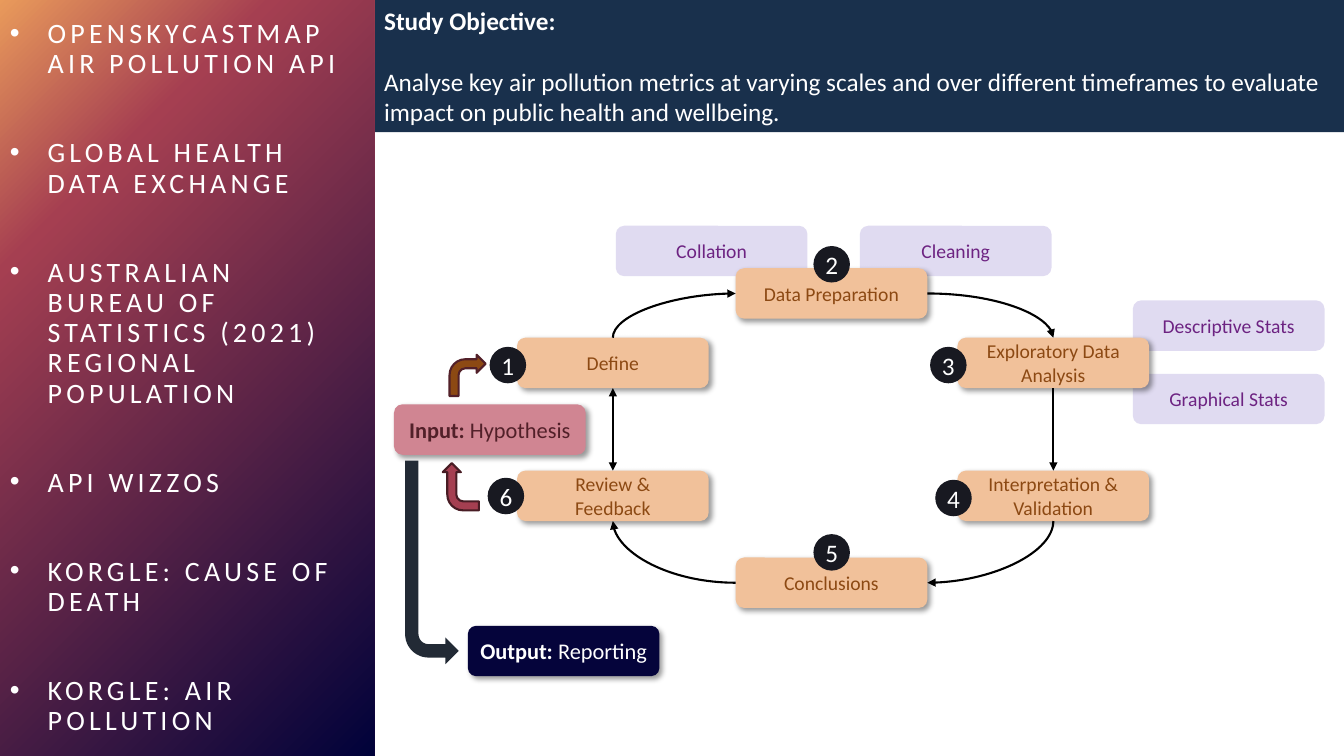
import pptx
import pptx.util
import pptx.dml.color
import pptx.enum.shapes
import pptx.enum.text
import pptx.oxml
import pptx.oxml.ns

Cm = pptx.util.Cm
Pt = pptx.util.Pt
RGBColor = pptx.dml.color.RGBColor
Shapes = pptx.enum.shapes.MSO_SHAPE
Connectors = pptx.enum.shapes.MSO_CONNECTOR
Anchor = pptx.enum.text.MSO_ANCHOR
Align = pptx.enum.text.PP_ALIGN
qn = pptx.oxml.ns.qn

WHITE = RGBColor(0xFF, 0xFF, 0xFF)
BLACK = RGBColor(0x00, 0x00, 0x00)
NAVY = RGBColor(0x19, 0x30, 0x4C)
MIDNIGHT = RGBColor(0x05, 0x04, 0x3B)
SLATE = RGBColor(0x22, 0x2A, 0x35)
INK = RGBColor(0x18, 0x19, 0x21)
PEACH = RGBColor(0xF1, 0xC1, 0x9A)
BROWN = RGBColor(0x8C, 0x49, 0x13)
LILAC = RGBColor(0x9C, 0x8D, 0xD3)
PURPLE = RGBColor(0x6D, 0x23, 0x82)
PINK = RGBColor(0xD0, 0x85, 0x92)
MAROON = RGBColor(0x52, 0x20, 0x29)
CRIMSON = RGBColor(0xA5, 0x3F, 0x51)
DARK_CRIMSON = RGBColor(0x48, 0x1C, 0x24)
INDIGO = RGBColor(0x00, 0x02, 0x3A)
AMBER = RGBColor(0xE9, 0x9A, 0x5B)

SOURCES = [
    "OPENSKYCASTMAP AIR POLLUTION API",
    "GLOBAL HEALTH DATA EXCHANGE",
    "AUSTRALIAN BUREAU OF STATISTICS (2021) REGIONAL POPULATION",
    "API WIZZOS",
    "KORGLE: CAUSE OF DEATH",
    "KORGLE: AIR POLLUTION",
]
OBJECTIVE = [
    "Study Objective:",
    "Analyse key air pollution metrics at varying scales and over different "
    "timeframes to evaluate impact on public health and wellbeing.",
]
SIDEBAR_GRADIENT = [(0, INDIGO), (76, CRIMSON), (100, AMBER)]
SIDEBAR_WIDTH, HEADER_HEIGHT = 9.43, 3.33
SLIDE_WIDTH, SLIDE_HEIGHT = 33.87, 19.05
BOX_WIDTH, BOX_HEIGHT, BADGE_SIZE = 4.83, 1.27, 0.92

LEFT, MIDDLE, RIGHT = 13.03, 18.54, 24.13
ASPECTS = [
    ("Collation", 15.52, 5.69),
    ("Cleaning", 21.67, 5.69),
    ("Descriptive Stats", 28.55, 7.57),
    ("Graphical Stats", 28.55, 9.42),
]
STEPS = {
    "define": (["Define"], LEFT, 8.51),
    "prepare": (["Data Preparation"], MIDDLE, 6.76),
    "explore": (["Exploratory Data Analysis"], RIGHT, 8.51),
    "interpret": (["Interpretation & Validation"], RIGHT, 11.86),
    "conclude": (["Conclusions"], MIDDLE, 14.05),
    "review": (["Review &", "Feedback"], LEFT, 11.86),
}
BADGES = [(12.34, 8.74), (20.5, 6.2), (23.44, 8.74), (23.57, 12.09), (20.5, 13.46), (12.29, 12.04)]
ENDPOINTS = [
    ("Input: ", "Hypothesis", 9.93, 10.19, PINK, MAROON),
    ("Output: ", "Reporting", 11.79, 15.77, MIDNIGHT, WHITE),
]
TOP, LEFT_SIDE, BOTTOM, RIGHT_SIDE = range(4)
CURVES = [
    ("prepare", RIGHT_SIDE, "explore", TOP, "tailEnd"),
    ("conclude", RIGHT_SIDE, "interpret", BOTTOM, "headEnd"),
    ("conclude", LEFT_SIDE, "review", BOTTOM, "tailEnd"),
    ("prepare", LEFT_SIDE, "define", TOP, "headEnd"),
]
STRAIGHTS = [
    ("explore", BOTTOM, "interpret", TOP, ["tailEnd"]),
    ("review", TOP, "define", BOTTOM, ["headEnd", "tailEnd"]),
]
BENT_ARROWS = [
    (10.21, 11.61, 1.35, 5.13, SLATE, None, 0, True),
    (11.02, 11.81, 1.19, 0.91, CRIMSON, DARK_CRIMSON, 270, False),
    (11.33, 8.94, 0.91, 1.04, BROWN, MAROON, 0, False),
]


def add_element(parent, tag, **attributes):
    element = parent.makeelement(qn(tag), {name: str(value) for name, value in attributes.items()})
    parent.append(element)
    return element


def write_text(shape, paragraphs, size, color, lead="", align=Align.CENTER, anchor=Anchor.MIDDLE,
               inset=0, gap=0, line_spacing=1.0, tracking=0, bullet=False):
    frame = shape.text_frame
    frame.word_wrap = True
    frame.auto_size = pptx.enum.text.MSO_AUTO_SIZE.NONE
    frame.vertical_anchor = anchor
    frame.margin_left = frame.margin_right = Cm(inset)
    frame.margin_top = frame.margin_bottom = Cm(inset / 2)
    for index, text in enumerate(paragraphs):
        paragraph = frame.paragraphs[0] if index == 0 else frame.add_paragraph()
        if bullet:
            properties = paragraph._p.get_or_add_pPr()
            properties.set("marL", str(Cm(0.95)))
            properties.set("indent", str(-Cm(0.95)))
            add_element(properties, "a:buFont", typeface="Arial")
            add_element(properties, "a:buChar", char="•")
        paragraph.alignment = align
        paragraph.line_spacing = line_spacing
        paragraph.space_before = Pt(gap if index else 0)
        paragraph.space_after = Pt(0)
        pieces = [(lead, True)] if lead and index == 0 else []
        pieces += [(text, False)] if text else []
        for piece, bold in pieces:
            run = paragraph.add_run()
            run.text = piece
            run.font.name = "Calibri"
            run.font.size = Pt(size)
            run.font.bold = bold
            run.font.color.rgb = color
            if tracking:
                run._r.get_or_add_rPr().set("spc", str(tracking * 100))


def place(shape, left, top, width, height):
    shape.left, shape.top, shape.width, shape.height = Cm(left), Cm(top), Cm(width), Cm(height)


def add_filled(slide, kind, left, top, width, height, fill, outline=None, opacity=100, shadow=False):
    shape = slide.shapes.add_shape(kind, Cm(left), Cm(top), Cm(width), Cm(height))
    shape.fill.solid()
    shape.fill.fore_color.rgb = fill
    if outline is None:
        shape.line.fill.background()
    else:
        shape.line.color.rgb = outline
        shape.line.width = Pt(1.5)
    shape.shadow.inherit = False
    properties = shape._element.spPr
    if opacity < 100:
        add_element(properties.find(qn("a:solidFill"))[0], "a:alpha", val=opacity * 1000)
    if shadow:
        outer = add_element(properties.find(qn("a:effectLst")), "a:outerShdw", blurRad=Pt(4),
                            dist=Pt(3), dir=45 * 60000, algn="tl", rotWithShape=0)
        add_element(add_element(outer, "a:srgbClr", val=BLACK), "a:alpha", val=40000)
    return shape


def add_box(slide, left, top, fill, **style):
    return add_filled(slide, Shapes.ROUNDED_RECTANGLE, left, top, BOX_WIDTH, BOX_HEIGHT, fill, **style)


def side_middle(box, side):
    across = {TOP: 0.5, LEFT_SIDE: 0, BOTTOM: 0.5, RIGHT_SIDE: 1}[side]
    down = {TOP: 0, LEFT_SIDE: 0.5, BOTTOM: 1, RIGHT_SIDE: 0.5}[side]
    return box.left + int(box.width * across), box.top + int(box.height * down)


def add_link(slide, kind, start, start_side, end, end_side, heads):
    connector = slide.shapes.add_connector(kind, *side_middle(start, start_side), *side_middle(end, end_side))
    connector.line.color.rgb = BLACK
    connector.line.width = Pt(1.5)
    line = connector.line._get_or_add_ln()
    for head in heads:
        add_element(line, "a:" + head, type="triangle")
    add_element(connector._element.spPr, "a:effectLst")
    return connector


def fill_sidebar(shape):
    gradient = add_element(shape._element.spPr, "a:gradFill", rotWithShape=1)
    stops = add_element(gradient, "a:gsLst")
    for position, color in SIDEBAR_GRADIENT:
        add_element(add_element(stops, "a:gs", pos=position * 1000), "a:srgbClr", val=color)
    circle = add_element(gradient, "a:path", path="circle")
    add_element(circle, "a:fillToRect", l=100000, t=100000)


def main():
    presentation = pptx.Presentation()
    presentation.slide_width, presentation.slide_height = Cm(SLIDE_WIDTH), Cm(SLIDE_HEIGHT)
    slide = presentation.slides.add_slide(presentation.slide_layouts[1])

    header, sidebar = slide.shapes.title, slide.placeholders[1]
    place(sidebar, 0, 0, SIDEBAR_WIDTH, SLIDE_HEIGHT)
    fill_sidebar(sidebar)
    write_text(sidebar, SOURCES, size=20, color=WHITE, align=Align.LEFT, inset=0.25,
               gap=42, line_spacing=0.9, tracking=3, bullet=True)
    place(header, SIDEBAR_WIDTH, 0, SLIDE_WIDTH - SIDEBAR_WIDTH, HEADER_HEIGHT)
    header.fill.solid()
    header.fill.fore_color.rgb = NAVY
    write_text(header, ["", OBJECTIVE[1]], size=18, color=WHITE, lead=OBJECTIVE[0],
               align=Align.LEFT, anchor=Anchor.TOP, inset=0.25, gap=22)

    for label, left, top in ASPECTS:
        write_text(add_box(slide, left, top, LILAC, opacity=31), [label], size=14, color=PURPLE)
    steps = {}
    for name, (lines, left, top) in STEPS.items():
        steps[name] = add_box(slide, left, top, PEACH, shadow=True)
        write_text(steps[name], lines, size=14, color=BROWN)
    for lead, label, left, top, fill, color in ENDPOINTS:
        write_text(add_box(slide, left, top, fill, shadow=True), [label], size=16, color=color, lead=lead)

    for start, start_side, end, end_side, head in CURVES:
        curve = add_link(slide, Connectors.CURVE, steps[start], start_side, steps[end], end_side, [head])
        curve._element.spPr.find(qn("a:prstGeom")).set("prst", "curvedConnector2")
    for start, start_side, end, end_side, heads in STRAIGHTS:
        straight = add_link(slide, Connectors.STRAIGHT, steps[start], start_side, steps[end], end_side, heads)
        straight.begin_connect(steps[start], start_side)
        straight.end_connect(steps[end], end_side)

    for number, (left, top) in enumerate(BADGES, 1):
        badge = add_filled(slide, Shapes.OVAL, left, top, BADGE_SIZE, BADGE_SIZE, INK)
        write_text(badge, [str(number)], size=18, color=WHITE)
    for left, top, width, height, fill, outline, rotation, flipped in BENT_ARROWS:
        arrow = add_filled(slide, Shapes.BENT_ARROW, left, top, width, height, fill, outline=outline)
        arrow.rotation = rotation
        if flipped:
            arrow._element.spPr.find(qn("a:xfrm")).set("flipV", "1")

    presentation.save("out.pptx")


if __name__ == "__main__":
    main()
